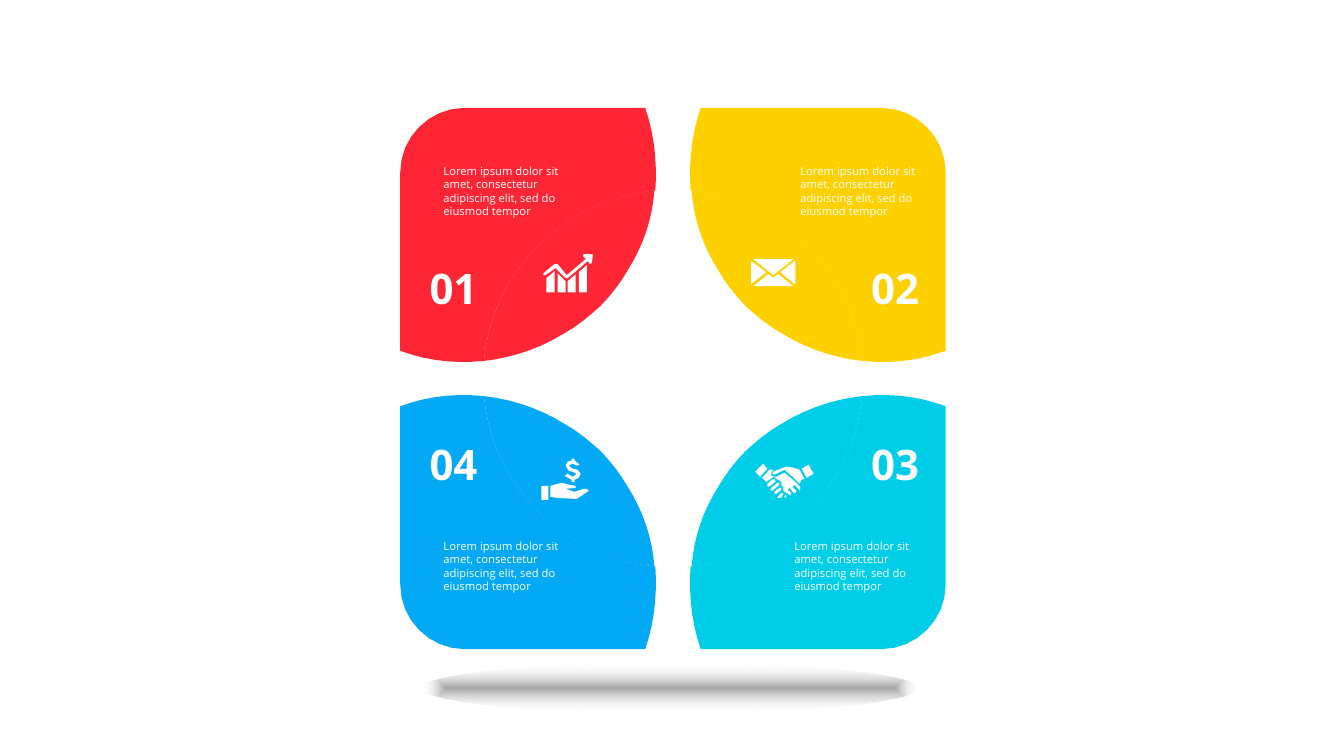
from math import ceil, dist

from pptx import Presentation
from pptx.dml.color import RGBColor
from pptx.enum.shapes import MSO_SHAPE as SHAPE
from pptx.enum.text import MSO_AUTO_SIZE as AUTO
from pptx.oxml import parse_xml
from pptx.util import Pt

PX = 9144  # EMU in one px, a hundredth of an inch
WIDTH, HEIGHT = 1333, 750
MIRROR_X, MIRROR_Y = 1335, 751  # sums of mirrored petal coordinates
CURVE_STEP = 12  # longest chord, in px, that stands for a piece of a curve

RED = RGBColor(0xFE, 0x26, 0x35)
YELLOW = RGBColor(0xFF, 0xD0, 0x00)
CYAN = RGBColor(0x00, 0xCE, 0xE8)
BLUE = RGBColor(0x03, 0xA9, 0xF4)
WHITE = RGBColor(0xFF, 0xFF, 0xFF)

LOREM = ("Lorem ipsum dolor sit amet, consectetur adipiscing elit, "
         "sed do eiusmod tempor")

# An outline is a list of contours: "x,y" is a line to a point,
# "x,y/x,y/x,y" a cubic curve through two control points.
PETAL_OUTER = ["640,107 461,107 426,107/397,136/397,171 397,348 "
               "424,358/452,361/480,358 488,269/560,198/650,189 "
               "652,162/649,133/640,107"]
PETAL_INNER = ["480,358 507,355/535,346/559,331 572,324/584,314/595,304 "
               "606,293/615,281/622,269 638,244/647,217/649,189 "
               "560,198/488,269/480,358"]

CHART_ICON = [
    "574,270 582,263 582,290 574,290",
    "563,290 571,290 571,272 563,279",
    "553,290 561,290 561,279 553,271",
    "542,290 550,290 550,269 542,276",
    "587,252 579,252 578,254 581,257 562,273 553,262 550,262 539,271 539,273 "
    "541,273 551,266 561,276 563,276 583,259 585,262 587,261 588,253",
]
ENVELOPE_ICON = [
    "747,257 787,257 767,273",
    "788,282 789,281 789,260 788,259 774,270",
    "772,272 767,275 766,275 762,272 747,284 787,284",
    "760,270 745,259 745,282",
]
HANDSHAKE_ICON = [
    "762,483 761,482 761,480 767,475 769,476 769,478 764,482",
    "766,487 773,481 773,479 771,479 765,484 764,486",
    "770,490 775,486 775,484 773,484 768,488 768,490",
    "774,494 776,492 777,489 775,489 772,492 771,494",
    "800,474 807,470 802,461 795,465",
    "794,478 795,476 798,475 793,466 788,464/783,463/780,463 777,464 767,468 "
    "766,470 768,471 778,466 784,470/791,478/793,480",
    "779,494 780,492 779,491 778,493",
    "784,491 785,489 781,486 783,484 787,489 789,489 790,487 786,483 788,481 "
    "792,485 793,487 794,484 791,480 788,478/783,472/778,469 770,473 768,473 "
    "765,472 765,469 767,466 763,466 756,474 760,478 766,474 768,473 770,475 "
    "772,476 775,478 775,482 777,483 777,487 778,488 782,490 784,492",
    "754,473 761,465 757,460 749,468",
]
MONEY_ICON = [
    "570,476 570,478 567,478 567,476 560,472 563,470 568,473 572,470 568,468 "
    "564,467 561,462 563,458 567,457 567,455 570,455 570,457 575,461 572,462 "
    "568,460 564,462 568,465 573,466 576,470 574,474",
    "582,485 579,485 570,488 561,485 571,484 571,482 565,481 557,479 546,482 "
    "546,493 553,494 572,495 584,487",
    "537,496 544,496 544,482 537,482",
]

# number, colour, mirrored across, mirrored down, number and text place, icon
QUADRANTS = [
    ("01", RED, False, False, (426, 260), (430, 158), CHART_ICON),
    ("02", YELLOW, True, False, (864, 260), (784, 158), ENVELOPE_ICON),
    ("03", CYAN, True, True, (864, 435), (778, 530), HANDSHAKE_ICON),
    ("04", BLUE, False, True, (426, 435), (430, 530), MONEY_ICON),
]

SHADOW_FILL = """
<a:gradFill xmlns:a="http://schemas.openxmlformats.org/drawingml/2006/main">
  <a:gsLst>
    <a:gs pos="0"><a:srgbClr val="000000"><a:alpha val="35000"/></a:srgbClr></a:gs>
    <a:gs pos="100000"><a:srgbClr val="FFFFFF"><a:alpha val="0"/></a:srgbClr></a:gs>
  </a:gsLst>
  <a:path path="shape">
    <a:fillToRect l="50000" t="50000" r="50000" b="50000"/>
  </a:path>
</a:gradFill>"""


def contour_points(contour):
    """Turn one contour string into points, with its curves sampled."""
    points = []
    for segment in contour.split():
        knots = [tuple(map(int, knot.split(","))) for knot in segment.split("/")]
        if len(knots) == 1:
            points += knots
            continue
        a, (b, c, d) = points[-1], knots
        steps = ceil(dist(a, d) / CURVE_STEP)
        for step in range(1, steps + 1):
            t = step / steps
            u = 1 - t
            points.append(tuple(
                u**3 * a[i] + 3 * u * u * t * b[i] + 3 * u * t * t * c[i] + t**3 * d[i]
                for i in (0, 1)))
    return points


class Deck:
    font = "Open Sans"

    def __init__(self):
        self.prs = Presentation()
        self.prs.slide_width = WIDTH * PX
        self.prs.slide_height = HEIGHT * PX
        self.s = self.prs.slides.add_slide(self.prs.slide_layouts[6])

    def outline(self, contours, color, flip_x=False, flip_y=False):
        builder = None
        for contour in contours:
            points = [((MIRROR_X - x if flip_x else x) * PX,
                       (MIRROR_Y - y if flip_y else y) * PX)
                      for x, y in contour_points(contour)]
            if builder is None:
                builder = self.s.shapes.build_freeform(*points[0], scale=1.0)
            else:
                builder.move_to(*points[0])
            builder.add_line_segments(points[1:], close=True)
        sp = builder.convert_to_shape()
        sp.shadow.inherit = False
        sp.fill.solid()
        sp.fill.fore_color.rgb = color
        sp.line.fill.background()

    def text(self, text, place, size, points, bold=False, wrap=True):
        """Add white text; a label that does not wrap has no insets."""
        sp = self.s.shapes.add_textbox(*(v * PX for v in place + size))
        tf = sp.text_frame
        tf.word_wrap = wrap
        tf.auto_size = AUTO.SHAPE_TO_FIT_TEXT
        if not wrap:
            tf.margin_left = tf.margin_top = tf.margin_right = tf.margin_bottom = 0
        r = tf.paragraphs[0].add_run()
        r.text = text
        r.font.name, r.font.size, r.font.bold = self.font, Pt(points), bold
        r.font.color.rgb = WHITE

    def ground_shadow(self, *box):
        sp = self.s.shapes.add_shape(SHAPE.OVAL, *(v * PX for v in box))
        sp.shadow.inherit = False
        sp.line.fill.background()
        sp.fill.background()
        no_fill = sp._element.spPr.find(
            "{http://schemas.openxmlformats.org/drawingml/2006/main}noFill")
        sp._element.spPr.replace(no_fill, parse_xml(SHADOW_FILL))


def main():
    deck = Deck()
    for number, color, flip_x, flip_y, number_at, text_at, icon in QUADRANTS:
        for part in (PETAL_INNER, PETAL_OUTER):
            deck.outline(part, color, flip_x, flip_y)
        deck.outline(icon, WHITE)
        deck.text(number, number_at, (48, 50), 30, bold=True, wrap=False)
        deck.text(LOREM, text_at, (157, 64), 8)
    deck.ground_shadow(418, 658, 493, 49)
    deck.prs.save("out.pptx")


if __name__ == "__main__":
    main()
